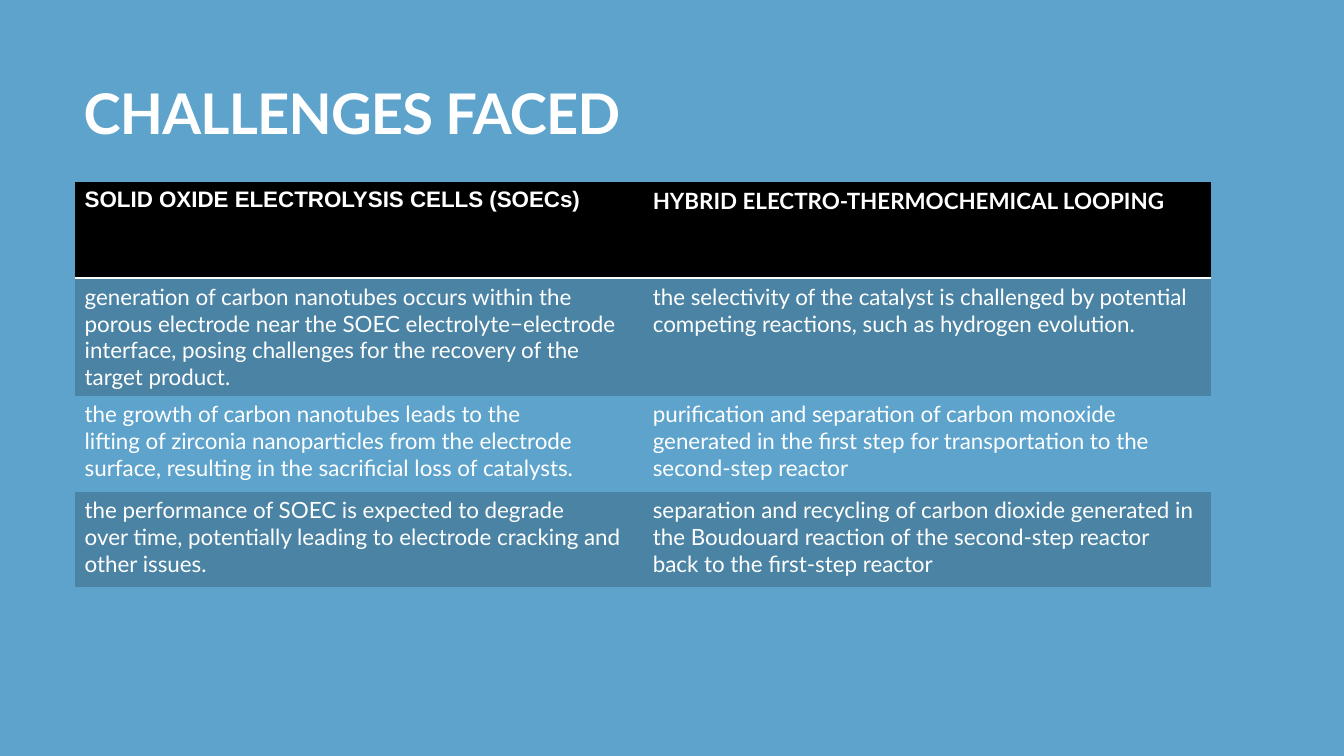
"""Build the slide that compares the challenges of two electrolysis routes."""
from lxml.etree import SubElement
from pptx import Presentation
from pptx.dml.color import RGBColor
from pptx.enum.text import MSO_ANCHOR
from pptx.oxml.ns import qn
from pptx.util import Inches, Pt

SKY, STEEL, BLACK, WHITE = "5DA3CC", "4A83A3", "000000", "FFFFFF"
NO_STYLE = "{2D5ABB26-0587-4C30-8999-92F81FD0307C}"


def paint(fill, color):
    fill.solid()
    fill.fore_color.rgb = RGBColor.from_string(color)


def write(frame, text, size=16, font="Lato", bold=False, spacing=0):
    frame.word_wrap = True
    for index, line in enumerate(text.split("\n")):
        paragraph = frame.add_paragraph() if index else frame.paragraphs[0]
        run = paragraph.add_run()
        run.text = line
        run.font.size, run.font.name, run.font.bold = Pt(size), font, bold
        paint(run.font.fill, WHITE)
        if spacing:
            run._r.get_or_add_rPr().set("spc", str(int(spacing * 100)))


presentation = Presentation()
presentation.slide_width, presentation.slide_height = Inches(13.33), Inches(7.5)
slide = presentation.slides.add_slide(presentation.slide_layouts[6])
paint(slide.background.fill, SKY)

title = slide.shapes.add_textbox(Inches(0.83), Inches(0.78), Inches(11.67), Inches(0.67))
frame = title.text_frame
frame.margin_left = frame.margin_right = frame.margin_top = frame.margin_bottom = 0
frame.vertical_anchor = MSO_ANCHOR.BOTTOM
write(frame, "CHALLENGES FACED", size=40, bold=True, spacing=-0.5)

challenges = [
    ("SOLID OXIDE ELECTROLYSIS CELLS (SOECs)",
     "HYBRID ELECTRO-THERMOCHEMICAL LOOPING"),
    ("generation of carbon nanotubes occurs within the porous electrode near the SOEC "
     "electrolyte−electrode interface, posing challenges for the recovery of the target product.",
     "the selectivity of the catalyst is challenged by potential competing reactions, "
     "such as hydrogen evolution."),
    ("the growth of carbon nanotubes leads to the\nlifting of zirconia nanoparticles from the "
     "electrode surface, resulting in the sacrificial loss of catalysts.",
     "purification and separation of carbon monoxide generated in the first step for "
     "transportation to the second-step reactor"),
    ("the performance of SOEC is expected to degrade\nover time, potentially leading to "
     "electrode cracking and other issues.",
     "separation and recycling of carbon dioxide generated in the Boudouard reaction of the "
     "second-step reactor back to the first-step reactor"),
]
row_fills = [BLACK, STEEL, SKY, STEEL]
row_height = 0.95

table_shape = slide.shapes.add_table(
    len(challenges), 2, Inches(0.74), Inches(1.81),
    Inches(11.27), Inches(row_height * len(challenges)))
table = table_shape.table
table.horz_banding = False
table._tbl.tblPr.find(qn("a:tableStyleId")).text = NO_STYLE

for row, (texts, color) in enumerate(zip(challenges, row_fills)):
    header = row == 0
    for column, text in enumerate(texts):
        cell = table.cell(row, column)
        font = "Arial" if header and column == 0 else "Lato"
        write(cell.text_frame, text, font=font, bold=header)
        if header:
            border = SubElement(cell._tc.get_or_add_tcPr(), qn("a:lnB"), w=str(Pt(2)))
            border_fill = SubElement(border, qn("a:solidFill"))
            SubElement(border_fill, qn("a:srgbClr"), val=WHITE)
        paint(cell.fill, color)

presentation.save("out.pptx")
